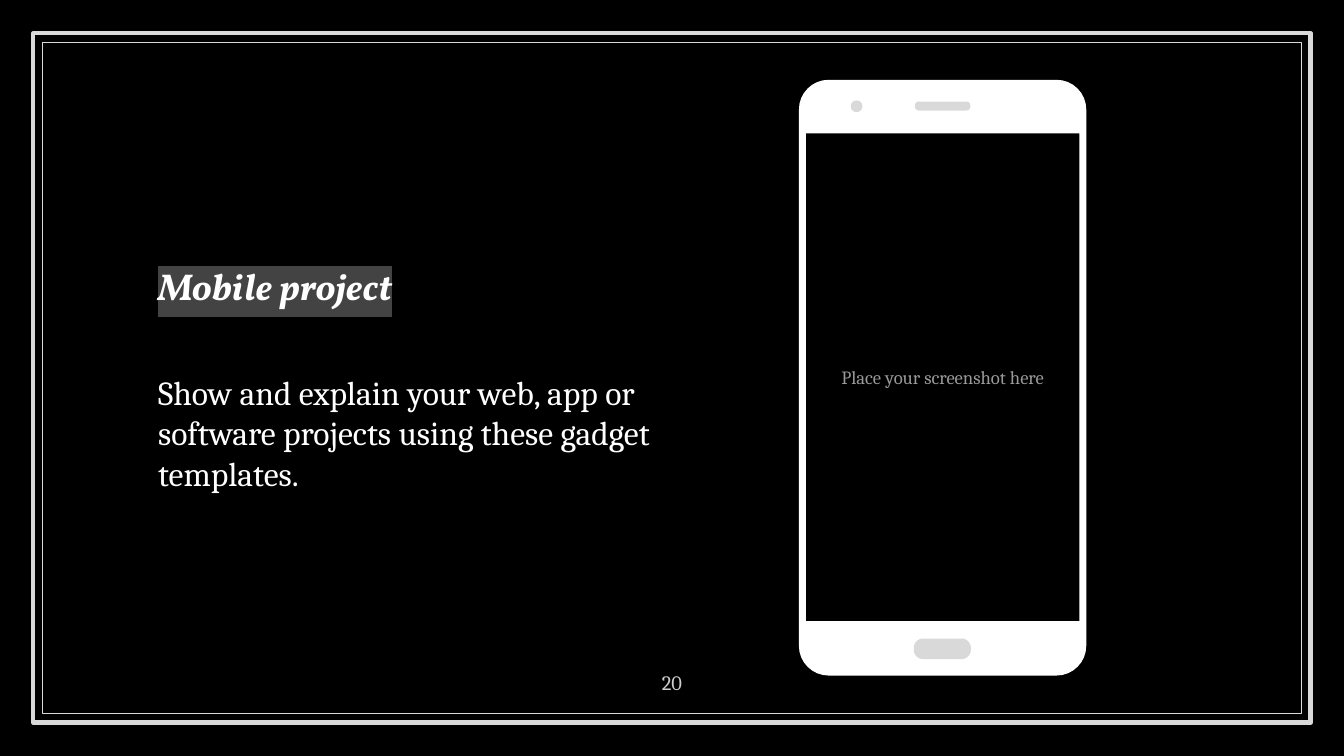
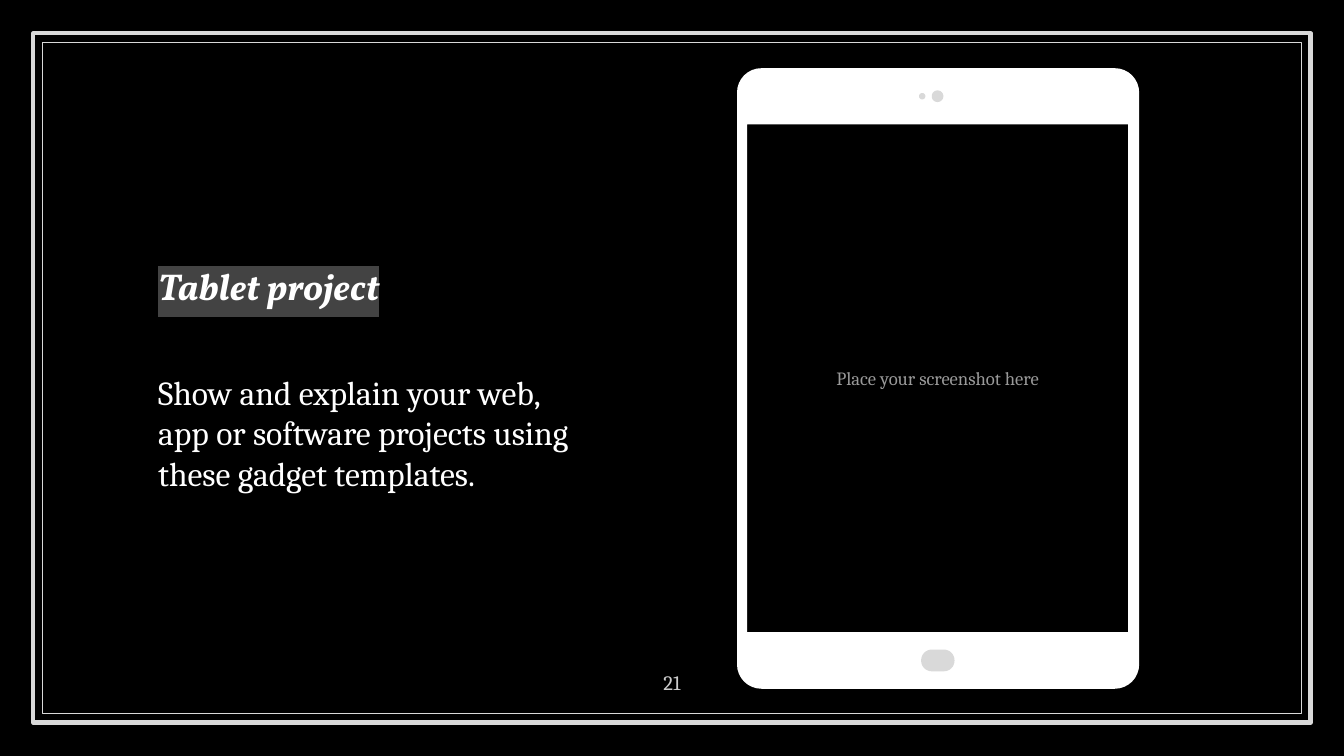
"""Build two device mock-up slides: a phone and a tablet."""
from math import cos, pi, sin

from lxml.etree import SubElement
from pptx import Presentation
from pptx.dml.color import RGBColor
from pptx.enum.shapes import MSO_SHAPE
from pptx.enum.text import MSO_ANCHOR, PP_ALIGN
from pptx.oxml.ns import qn
from pptx.util import Cm, Pt

COLORS = {
    "background": "000000",
    "text": "FFFFFF",
    "highlight": "434343",
    "frame": "D9D9D9",
    "device": "FFFFFF",
    "detail": "D9D9D9",
    "number": "CCCCCC",
    "hint": "999999",
}
TITLE_FONT, BODY_FONT = "Vollkorn", "Cambria"
WIDTH, HEIGHT = 25.4, 14.29
FRAMES = [(0.63, 2.25), (0.8, 0.75)]
INSET = 0.25
CORNER_STEPS = 8

BODY = "Show and explain your web, app or software projects using these gadget templates."
HINT = "Place your screenshot here"
SLIDES = [
    {
        "title": "Mobile project",
        "number": "20",
        "text_width": 9.93,
        "case": (15.1, 1.51, 5.43, 11.26, 0.56),
        "screen": (15.23, 2.52, 5.17, 9.22),
        "details": [
            (17.27, 12.07, 1.08, 0.39, 0.18),
            (16.08, 1.9, 0.22, 0.22, 0.11),
            (17.29, 1.92, 1.05, 0.17, 0.08),
        ],
    },
    {
        "title": "Tablet project",
        "number": "21",
        "text_width": 8.66,
        "case": (13.93, 1.29, 7.6, 11.73, 0.46),
        "screen": (14.12, 2.35, 7.2, 9.6),
        "details": [
            (17.41, 12.28, 0.63, 0.41, 0.2),
            (17.37, 1.76, 0.12, 0.12, 0.06),
            (17.61, 1.71, 0.22, 0.22, 0.11),
        ],
    },
]


def rgb(name):
    return RGBColor.from_string(COLORS[name])


def outline(x, y, w, h, radius=0):
    centers = [
        (x + w - radius, y + h - radius),
        (x + radius, y + h - radius),
        (x + radius, y + radius),
        (x + w - radius, y + radius),
    ]
    steps = range(CORNER_STEPS + 1 if radius else 1)
    return [
        (Cm(cx + radius * cos(a)), Cm(cy + radius * sin(a)))
        for corner, (cx, cy) in enumerate(centers)
        for a in [(corner + i / CORNER_STEPS) * pi / 2 for i in steps]
    ]


def add_outline(shapes, color, *contours):
    builder = shapes.build_freeform(*contours[0][0])
    for i, points in enumerate(contours):
        if i:
            builder.move_to(*points[0])
        builder.add_line_segments(points[1:], close=True)
    sp = builder.convert_to_shape()
    sp.shadow.inherit = False
    sp.fill.solid()
    sp.fill.fore_color.rgb = rgb(color)
    sp.line.fill.background()


def add_frames(s):
    for margin, weight in FRAMES:
        sp = s.shapes.add_shape(
            MSO_SHAPE.RECTANGLE, Cm(margin), Cm(margin),
            Cm(WIDTH - 2 * margin), Cm(HEIGHT - 2 * margin))
        sp.shadow.inherit = False
        sp.fill.background()
        sp.line.color.rgb = rgb("frame")
        sp.line.width = Pt(weight)


def add_text_box(s, box, anchor):
    tf = s.shapes.add_textbox(*map(Cm, box)).text_frame
    tf.word_wrap = True
    tf.vertical_anchor = anchor
    tf.margin_left = tf.margin_right = tf.margin_top = tf.margin_bottom = Cm(INSET)
    return tf


def add_run(p, text, size, color, font=BODY_FONT):
    r = p.add_run()
    r.text = text
    r.font.size = Pt(size)
    r.font.color.rgb = rgb(color)
    r.font.name = font
    return r


def highlight(r):
    rPr = r.font._element
    mark = SubElement(rPr, qn("a:highlight"))
    SubElement(mark, qn("a:srgbClr")).set("val", COLORS["highlight"])
    rPr.find(qn("a:solidFill")).addnext(mark)


def add_description(s, title, width):
    tf = add_text_box(s, (2.74, 2.26, width, 9.78), MSO_ANCHOR.MIDDLE)
    p = tf.paragraphs[0]
    p.space_before = Pt(6)
    r = add_run(p, title, 20, "text", TITLE_FONT)
    r.font.bold = r.font.italic = True
    highlight(r)
    p = tf.add_paragraph()
    p.space_before = Pt(34)
    add_run(p, BODY, 18, "text")


def add_label(s, box, anchor, text, size, color):
    p = add_text_box(s, box, anchor).paragraphs[0]
    p.alignment = PP_ALIGN.CENTER
    add_run(p, text, size, color)


def add_device(s, case, screen, details):
    shapes = s.shapes.add_group_shape().shapes
    add_outline(shapes, "device", outline(*screen), outline(*case)[::-1])
    for detail in details:
        add_outline(shapes, "detail", outline(*detail))


def main():
    prs = Presentation()
    prs.slide_width, prs.slide_height = Cm(WIDTH), Cm(HEIGHT)
    for content in SLIDES:
        s = prs.slides.add_slide(prs.slide_layouts[6])
        s.background.fill.solid()
        s.background.fill.fore_color.rgb = rgb("background")
        add_frames(s)
        add_description(s, content["title"], content["text_width"])
        add_label(s, (11.94, 12.27, 1.52, 1.09), MSO_ANCHOR.BOTTOM,
                  content["number"], 11, "number")
        add_label(s, content["screen"], MSO_ANCHOR.MIDDLE, HINT, 10, "hint")
        add_device(s, content["case"], content["screen"], content["details"])
    prs.save("out.pptx")


if __name__ == "__main__":
    main()
